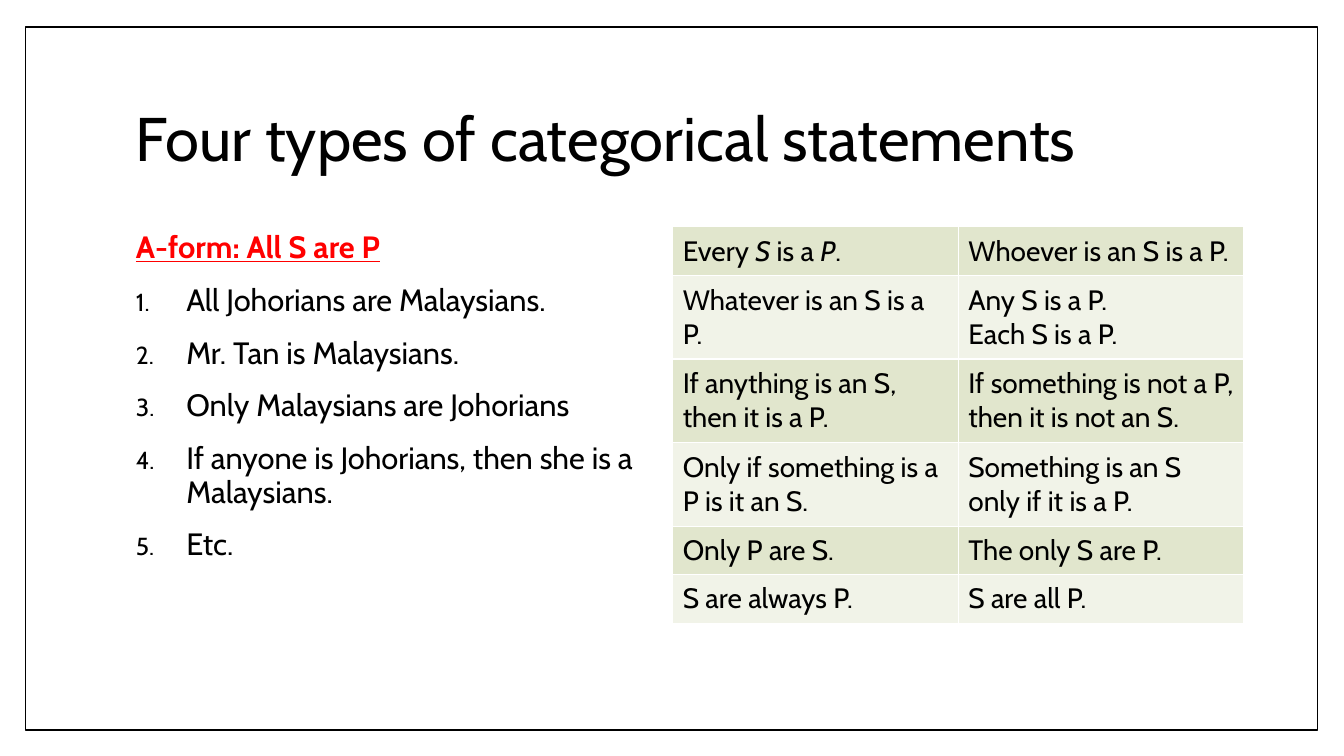
from dataclasses import dataclass

from lxml import etree
from pptx import Presentation
from pptx import util as u
from pptx.dml.color import RGBColor
from pptx.enum import shapes, text
from pptx.oxml import ns


@dataclass(frozen=True)
class Theme:
    font: str = "Cabin"
    ink: str = "000000"
    paper: str = "FFFFFF"
    accent: str = "FF0000"
    bands: tuple = ("E1E6CD", "F1F3E8")
    title: int = 44
    body: int = 22
    cell: int = 20


def apply(obj, values):
    for name, value in values.items():
        setattr(obj, name, value)


def child(parent, tag, **attrs):
    return etree.SubElement(parent, ns.qn(tag), attrs)


class Deck:
    def __init__(self, theme, width, height):
        self.theme = theme
        self.prs = Presentation()
        apply(self.prs, {"slide_width": u.Pt(width), "slide_height": u.Pt(height)})
        self.s = self.prs.slides.add_slide(self.prs.slide_layouts[6])

    def add_words(self, p, words, size, color=None, **font):
        """Add words to a paragraph; parts between asterisks are italic."""
        for i, part in enumerate(words.split("*")):
            if part:
                r = p.add_run()
                r.text = part
                apply(r.font, {"name": self.theme.font, "size": u.Pt(size),
                               "italic": i % 2 == 1, **font})
                r.font.color.rgb = RGBColor.from_string(color or self.theme.ink)

    def frame(self, *box):
        sp = self.s.shapes.add_shape(shapes.MSO_SHAPE.RECTANGLE, *map(u.Pt, box))
        sp.shadow.inherit = False
        sp.fill.solid()
        sp.fill.fore_color.rgb = RGBColor.from_string(self.theme.paper)
        sp.line.color.rgb = RGBColor.from_string(self.theme.ink)
        sp.line.width = u.Pt(1)

    def textbox(self, *box, anchor=text.MSO_ANCHOR.TOP):
        tf = self.s.shapes.add_textbox(*map(u.Pt, box)).text_frame
        apply(tf, {"word_wrap": True, "vertical_anchor": anchor})
        return tf

    def title(self, words, *box):
        p = self.textbox(*box, anchor=text.MSO_ANCHOR.MIDDLE).paragraphs[0]
        p.line_spacing = 0.9
        self.add_words(p, words, self.theme.title)

    def numbered_list(self, heading, items, *box):
        tf = self.textbox(*box)
        spacing = {"line_spacing": 0.9, "space_before": u.Pt(14)}
        p = tf.paragraphs[0]
        apply(p, spacing)
        self.add_words(p, heading, self.theme.body, self.theme.accent,
                       bold=True, underline=True)
        for item in items:
            p = tf.add_paragraph()
            apply(p, spacing)
            self.number(p, indent=36)
            self.add_words(p, item, self.theme.body)

    def number(self, p, indent):
        pPr = p._p.get_or_add_pPr()
        pPr.set("marL", str(u.Pt(indent)))
        pPr.set("indent", str(u.Pt(-indent)))
        child(child(pPr, "a:buClr"), "a:srgbClr", val=self.theme.ink)
        child(pPr, "a:buSzPct", val="80000")
        child(pPr, "a:buAutoNum", type="arabicPeriod")

    def table(self, rows, heights, left, top, width):
        cols = len(rows[0])
        box = map(u.Pt, (left, top, width, sum(heights)))
        table = self.s.shapes.add_table(len(rows), cols, *box).table
        apply(table, {"first_row": False, "horz_banding": False})
        for column in table.columns:
            column.width = u.Pt(width / cols)
        for i, (row, height) in enumerate(zip(rows, heights)):
            table.rows[i].height = u.Pt(height)
            for j, words in enumerate(row):
                self.cell(table.cell(i, j), words, self.theme.bands[i % 2])

    def cell(self, cell, words, fill):
        cell.vertical_anchor = text.MSO_ANCHOR.MIDDLE
        tf = cell.text_frame
        for i, line in enumerate(words.split("\n")):
            p = tf.add_paragraph() if i else tf.paragraphs[0]
            self.add_words(p, line, self.theme.cell)
        tcPr = cell._tc.get_or_add_tcPr()
        for side in ("a:lnL", "a:lnR", "a:lnT", "a:lnB"):
            ln = child(tcPr, side, w=str(u.Pt(1)))
            child(child(ln, "a:solidFill"), "a:srgbClr", val=self.theme.paper)
        cell.fill.solid()
        cell.fill.fore_color.rgb = RGBColor.from_string(fill)


EXAMPLES = [
    "All Johorians are Malaysians.",
    "Mr. Tan is Malaysians.",
    "Only Malaysians are Johorians",
    "If anyone is Johorians, then she is a Malaysians.",
    "Etc.",
]
WORDINGS = [
    ("Every *S *is a *P*.", "Whoever is an S is a P."),
    ("Whatever is an S is a P.", "Any S is a P.\nEach S is a P."),
    ("If anything is an S, then it is a P.",
     "If something is not a P, then it is not an S."),
    ("Only if something is a P is it an S.",
     "Something is an S only if it is a P."),
    ("Only P are S.", "The only S are P."),
    ("S are always P.", "S are all P."),
]
ONE_LINE, TWO_LINES = 34.6, 59.8


def main():
    deck = Deck(Theme(), 960, 540)
    deck.frame(18, 19.4, 923, 502)
    deck.title("Four types of categorical statements", 90, 48, 778, 106.5)
    deck.numbered_list("A-form: All S are P", EXAMPLES, 90, 162, 374.4, 317)
    heights = [ONE_LINE] + [TWO_LINES] * 3 + [ONE_LINE] * 2
    deck.table(WORDINGS, heights, 480.5, 162, 408)
    deck.prs.save("out.pptx")


if __name__ == "__main__":
    main()
